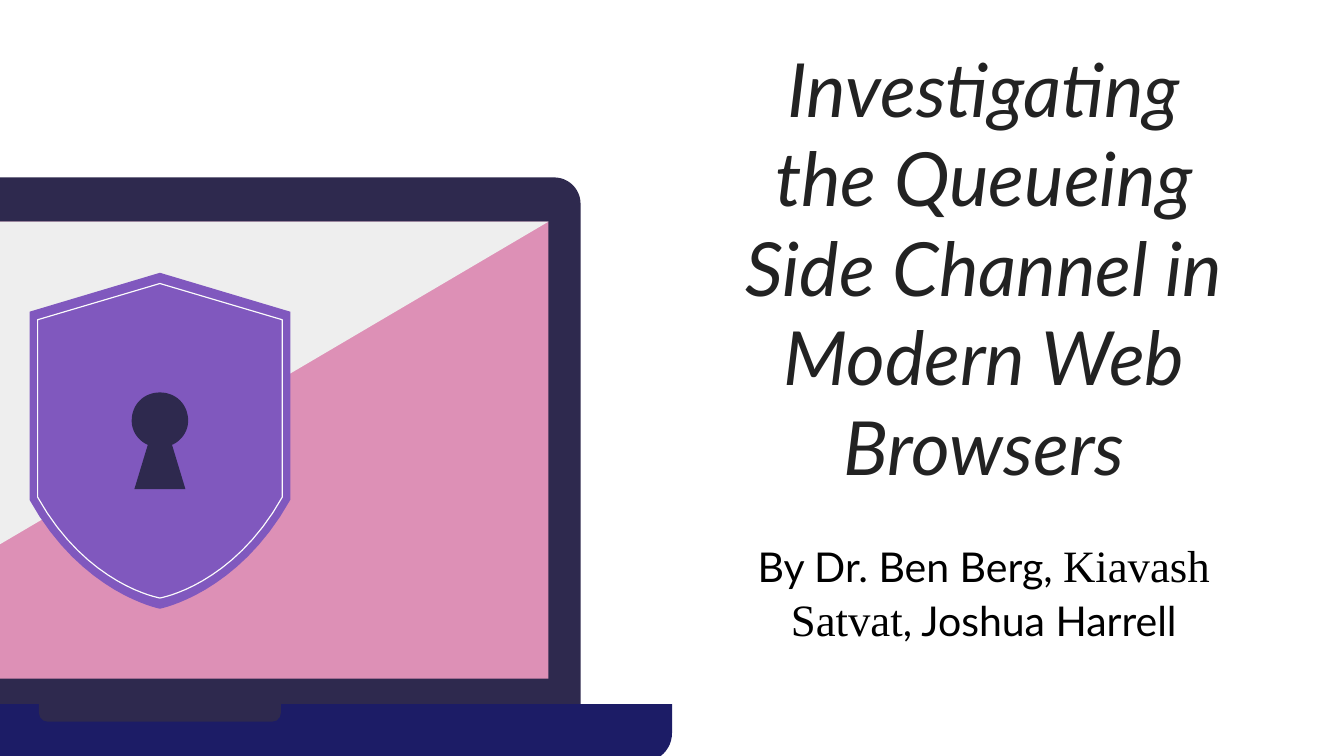
from dataclasses import dataclass

from pptx import Presentation
from pptx import util as u
from pptx.dml.color import RGBColor
from pptx.enum import shapes, text

PX = 9144  # EMU in one px, 100 px to the inch
WIDE = 1000
STEPS = 16  # straight pieces in one curve
AXIS = 119  # centre line of the shield
HEX = {
    "ink": "222222", "black": "000000", "dark": "2E294E", "navy": "1C1C66",
    "pink": "DD90B6", "pale": "EEEEEE", "purple": "8058BE", "trim": "FCFCFC",
}
KIND = shapes.MSO_SHAPE


@dataclass
class Box:
    x: int
    y: int
    w: int
    h: int


@dataclass
class Part:
    """A preset shape of the laptop."""
    kind: KIND
    box: Box
    fill: str
    round: tuple = ()


@dataclass
class Half:
    """The right half of a symmetric outline; six numbers make a curve."""
    steps: list
    fill: str = ""
    line: str = ""


@dataclass
class Run:
    words: str
    font: dict
    hue: str


PARTS = [
    Part(KIND.ROUND_2_SAME_RECTANGLE, Box(-195, 132, 627, 392), "dark", (0.05, 0)),
    Part(KIND.RECTANGLE, Box(-170, 165, 578, 340), "pink"),
    Part(KIND.ROUND_2_SAME_RECTANGLE, Box(-262, 524, 762, 43), "navy", (0, 0.5)),
    Part(KIND.ROUND_2_SAME_RECTANGLE, Box(29, 524, 180, 13), "dark", (0, 0.5)),
]
GLARE = [(-170, 165), (-170, 505), (408, 165)]
HALVES = [
    Half([(119, 203), (216, 232), (216, 372), (177, 442, 119, 453, 119, 453)],
         fill="purple"),
    Half([(119, 211), (210, 238), (210, 370), (173, 436, 119, 445, 119, 445)],
         line="trim"),
    Half([(119, 292), (131, 292, 140, 301, 140, 313),
          (140, 321, 135, 328, 128, 331), (138, 364)], fill="dark"),
]
LATO = {"name": "Lato", "size": u.Pt(22), "italic": False}
TIMES = {"name": "Times New Roman", "size": u.Pt(24), "italic": False}
TITLE = [Run("Investigating the Queueing Side Channel in Modern Web Browsers",
             {"name": "Lato", "size": u.Pt(40), "italic": True}, "ink")]
NAMES = [
    Run("By Dr. Ben Berg, ", LATO, "black"),
    Run("Kiavash Satvat", TIMES, "black"),
    Run(", Joshua Harrell", LATO, "black"),
]


def rgb(name: str) -> RGBColor:
    return RGBColor.from_string(HEX[name])


def paint(shape, fill: str, line: str = "") -> None:
    shape.shadow.inherit = False
    if fill:
        shape.fill.solid()
        shape.fill.fore_color.rgb = rgb(fill)
    else:
        shape.fill.background()
    if line:
        shape.line.color.rgb = rgb(line)
        shape.line.width = u.Pt(0.61)
    else:
        shape.line.fill.background()


def place(shape, box: Box) -> None:
    spots = {"left": box.x, "top": box.y, "width": box.w, "height": box.h}
    for key, val in spots.items():
        setattr(shape, key, val * PX)


def write(shape, runs: list[Run], anchor) -> None:
    frame = shape.text_frame
    inset = 10 * PX
    form = {
        "word_wrap": True, "auto_size": text.MSO_AUTO_SIZE.NONE,
        "vertical_anchor": anchor, "margin_left": inset, "margin_right": inset,
        "margin_top": inset, "margin_bottom": inset,
    }
    for key, val in form.items():
        setattr(frame, key, val)
    para = frame.paragraphs[0]
    para.alignment = text.PP_ALIGN.CENTER
    para.line_spacing = 1.0
    for item in runs:
        run = para.add_run()
        run.text = item.words
        for key, val in item.font.items():
            setattr(run.font, key, val)
        run.font.color.rgb = rgb(item.hue)


def trace(steps: list[tuple]) -> list[tuple]:
    """Turn corners and curves into plain points."""
    pts = [steps[0]]
    for step in steps[1:]:
        if len(step) == 2:
            pts.append(step)
            continue
        ctrl = [pts[-1], step[:2], step[2:4], step[4:]]
        for i in range(1, STEPS + 1):
            t = i / STEPS
            mix = ((1 - t) ** 3, 3 * t * (1 - t) ** 2, 3 * t * t * (1 - t), t ** 3)
            pts.append(tuple(sum(m * p[k] for m, p in zip(mix, ctrl))
                             for k in (0, 1)))
    return pts


def outline(tree, pts: list[tuple], fill: str, line: str = "") -> None:
    spots = [(round(x * PX), round(y * PX)) for x, y in pts]
    pen = tree.build_freeform(*spots[0])
    pen.add_line_segments(spots[1:], close=True)
    paint(pen.convert_to_shape(), fill, line)


def preset(tree, part: Part) -> None:
    box = part.box
    shape = tree.add_shape(part.kind, *(n * PX for n in (box.x, box.y, box.w, box.h)))
    for i, val in enumerate(part.round):
        shape.adjustments[i] = val
    paint(shape, part.fill)


def mirror(tree, half: Half) -> None:
    right = trace(half.steps)
    left = [(2 * AXIS - x, y) for x, y in reversed(right) if (x, y) != right[0]]
    outline(tree, right + left, half.fill, half.line)


def main() -> None:
    deck = Presentation()
    deck.slide_width = WIDE * PX
    deck.slide_height = WIDE * PX * 9 // 16
    slide = deck.slides.add_slide(deck.slide_layouts[5])

    title = slide.shapes.title
    place(title, Box(537, 219, 390, 156))
    write(title, TITLE, text.MSO_ANCHOR.BOTTOM)
    names = slide.shapes.add_textbox(0, 0, PX, PX)
    place(names, Box(537, 390, 390, 87))
    write(names, NAMES, text.MSO_ANCHOR.TOP)

    laptop = slide.shapes.add_group_shape().shapes
    for part in PARTS:
        preset(laptop, part)
    outline(laptop, GLARE, "pale")
    for half in HALVES:
        mirror(laptop, half)
    deck.save("out.pptx")


if __name__ == "__main__":
    main()
